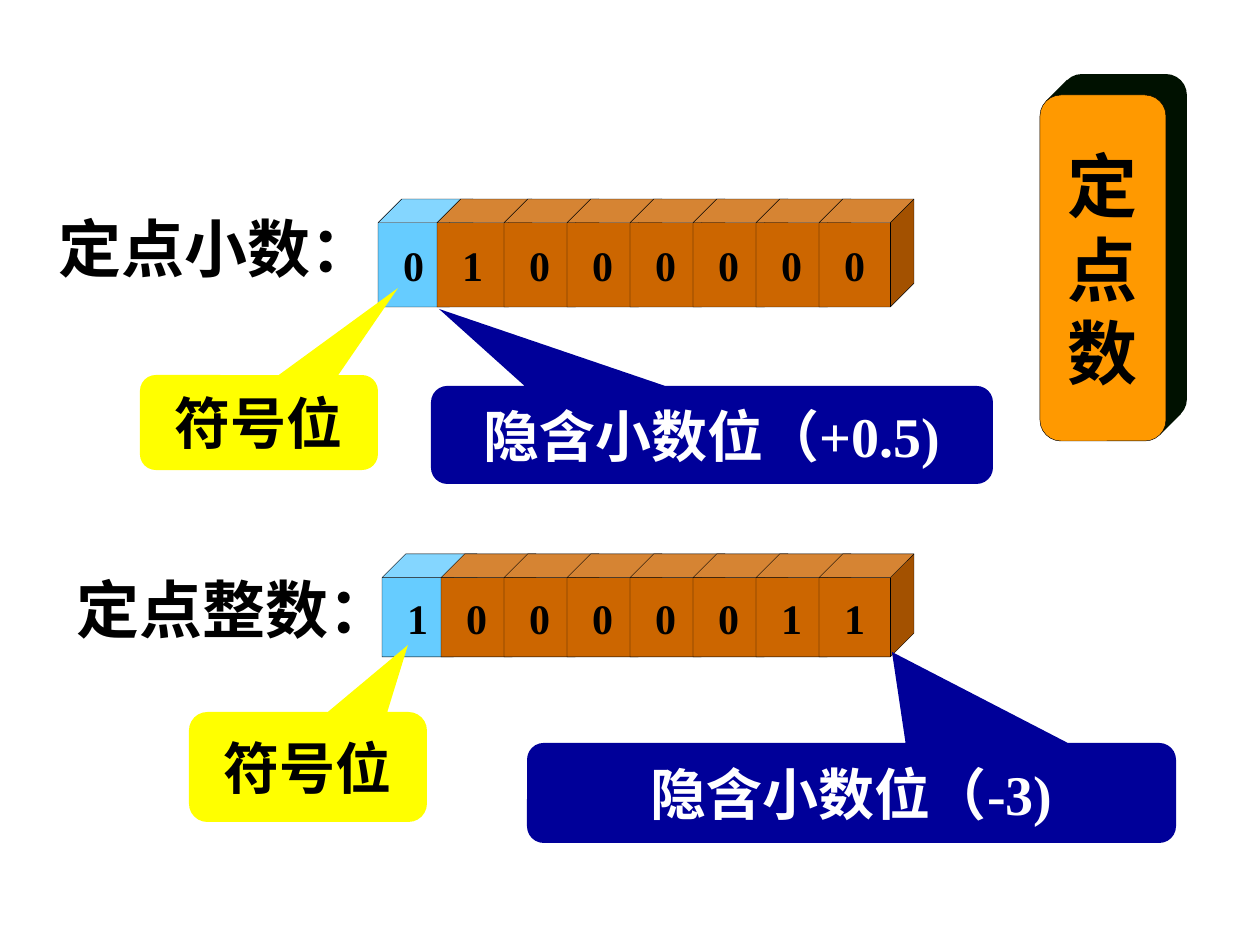
from pptx import Presentation
from pptx.dml.color import RGBColor
from pptx.enum.shapes import MSO_SHAPE as SHAPE
from pptx.enum.text import MSO_ANCHOR as ANCHOR, PP_ALIGN as ALIGN
from pptx.util import Emu, Pt
from lxml.etree import SubElement

SCALE = 914400 / 126
COLORS = {
    "black": "000000", "white": "FFFFFF", "sign": "66CCFF", "digit": "CC6600",
    "title": "FF9900", "depth": "001100", "yellow": "FFFF00", "navy": "000099",
}
LATIN, HAN = "Times New Roman", "Noto Sans CJK SC"
DRAWING = "{http://schemas.openxmlformats.org/drawingml/2006/main}"


def px(value):
    """Turn pixels into EMU."""
    return Emu(round(value * SCALE))


def color(name):
    """Look up a colour by name."""
    return RGBColor.from_string(COLORS[name])


def write(box, text, size, ink="black", font=LATIN):
    """Put bold centred text in a box, with a Han companion font."""
    frame = box.text_frame
    frame.text = text
    frame.word_wrap = False
    frame.vertical_anchor = ANCHOR.MIDDLE
    for para in frame.paragraphs:
        para.alignment = ALIGN.CENTER
        for span in para.runs:
            span.font.size, span.font.bold = Pt(size), True
            span.font.name = font
            span.font.color.rgb = color(ink)
            SubElement(span.font._element, DRAWING + "ea", typeface=HAN)


def paint(box, fill, line=None):
    """Give a shape a flat fill and an optional hairline."""
    box.shadow.inherit = False
    box.fill.solid()
    box.fill.fore_color.rgb = color(fill)
    if line:
        box.line.color.rgb = color(line)
        box.line.width = Pt(0.25)
    else:
        box.line.fill.background()


def add_box(parent, kind, rect, fill, line=None):
    """Add a painted preset shape."""
    box = parent.shapes.add_shape(kind, *map(px, rect))
    paint(box, fill, line)
    return box


def add_register(page, bits, sign_left, first_left, top, height):
    """Add a row of bit cubes as one group, the sign bit first."""
    group = page.shapes.add_group_shape()
    lefts = [sign_left, first_left] + [504 + 63 * i for i in range(len(bits) - 2)]
    for i, (bit, left) in enumerate(zip(bits, lefts)):
        cube = add_box(group, SHAPE.CUBE, (left, top, 95, height),
                       "digit" if i else "sign", "black")
        cube.adjustments[0] = 0.25
        write(cube, bit, 24)


def add_label(page, text, left, top):
    """Add the name of a register."""
    box = page.shapes.add_textbox(*map(px, (left, top, 343, 88)))
    write(box, text, 36, font=HAN)


def add_callout(page, text, rect, tip, fill, ink):
    """Add a rounded callout whose tail ends at the tip."""
    box = add_box(page, SHAPE.ROUNDED_RECTANGULAR_CALLOUT, rect, fill)
    left, top, width, height = rect
    box.adjustments[0] = (tip[0] - left) / width - 0.5
    box.adjustments[1] = (tip[1] - top) / height - 0.5
    box.adjustments[2] = 0.167
    write(box, text, 32, ink)


def add_title(page, text, rect, depth):
    """Add the vertical title block with its dark depth up and right."""
    left, top, width, height = rect
    kind = SHAPE.FLOWCHART_ALTERNATE_PROCESS
    add_box(page, kind, (left + depth, top - depth, width, height), "depth")
    inset = 6
    x1, y1 = left + inset, top + inset
    x2, y2 = left + width - inset, top + height - inset
    outline = page.shapes.build_freeform(x1, y1, scale=SCALE)
    outline.add_line_segments(
        [(x1 + depth, y1 - depth), (x2 + depth, y2 - depth), (x2, y2)])
    paint(outline.convert_to_shape(), "depth")
    write(add_box(page, kind, rect, "title", "black"), text, 40)


def main():
    """Build the slide."""
    deck = Presentation()
    deck.slide_width, deck.slide_height = px(1260), px(945)
    page = deck.slides.add_slide(deck.slide_layouts[6])
    add_register(page, "01000000", 378, 437, 199, 108)
    add_register(page, "10000011", 382, 441, 554, 103)
    add_label(page, "定点小数：", 45, 203)
    add_label(page, "定点整数：", 63, 564)
    add_title(page, "定\n点\n数", (1040, 95, 126, 346), 21)
    callouts = [
        ("符号位", (140, 375, 238, 95), (398, 288), "yellow", "black"),
        ("隐含小数位（+0.5)", (431, 386, 562, 98), (439, 309), "navy", "white"),
        ("符号位", (189, 712, 238, 110), (408, 645), "yellow", "black"),
        ("隐含小数位（-3)", (527, 743, 649, 100), (892, 652), "navy", "white"),
    ]
    for callout in callouts:
        add_callout(page, *callout)
    deck.save("out.pptx")


main()
